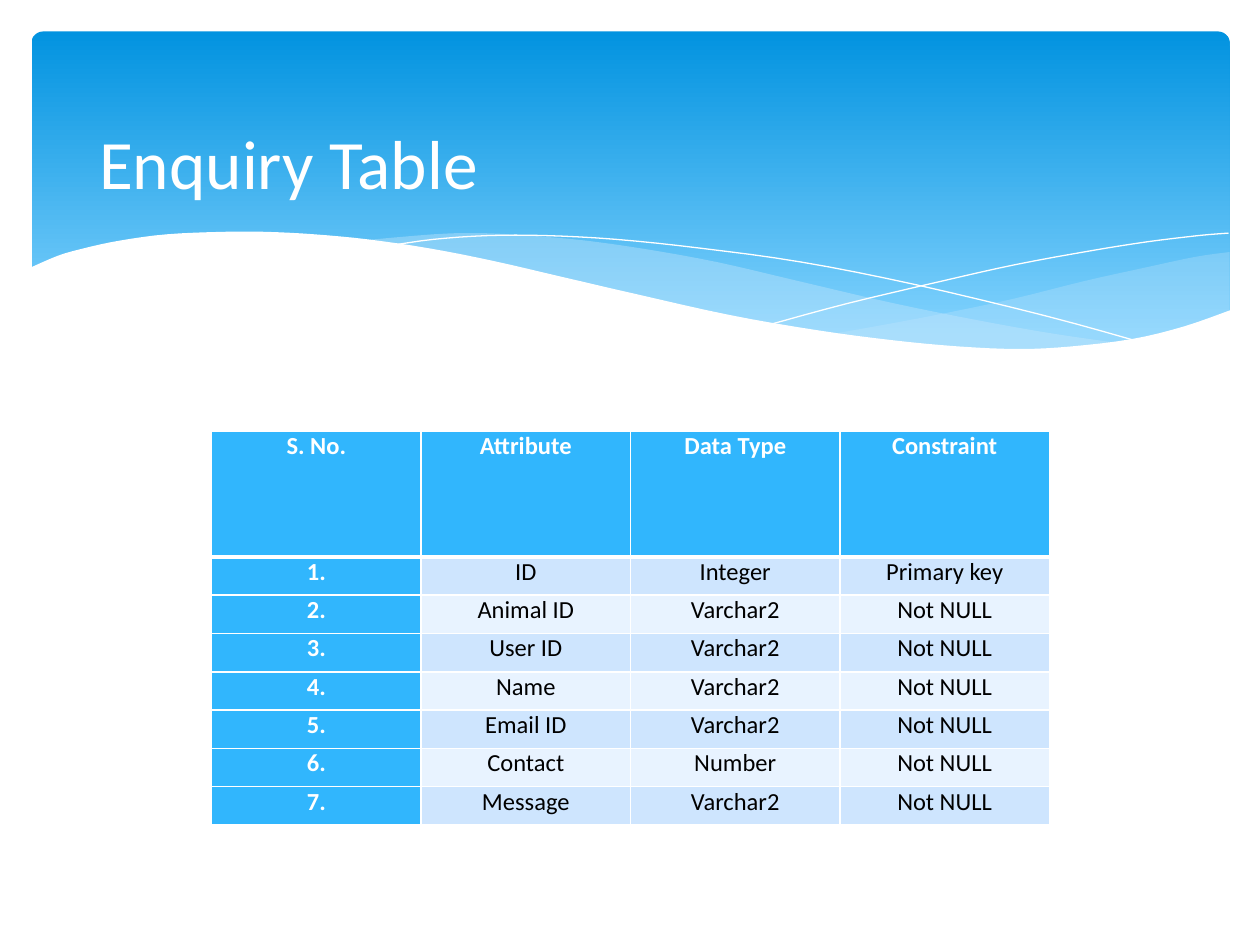
from dataclasses import dataclass

from lxml.etree import SubElement
from pptx import Presentation
from pptx.dml.color import RGBColor
from pptx.enum.shapes import MSO_SHAPE
from pptx.enum.text import MSO_ANCHOR, PP_ALIGN
from pptx.oxml.ns import qn
from pptx.util import Inches, Pt


@dataclass(frozen=True)
class Theme:
    font: str = "Calibri"
    title_size: float = 39.6
    table_size: float = 14
    white: str = "FFFFFF"
    black: str = "000000"
    banner_top: str = "0293E0"
    banner_bottom: str = "83D3FE"
    wave: str = "C6E7FC"
    accent: str = "31B6FD"
    odd_band: str = "CEE5FE"
    even_band: str = "E8F3FF"


THEME = Theme()

# Wave edges: key points in inches, joined by smooth curves
RIGHT_WAVE_TOP = [(9.76, 2), (9.48, 2.04), (9.06, 2.13), (8.61, 2.23),
                  (8.05, 2.37), (7.53, 2.48), (7.06, 2.57), (6.61, 2.65)]
RIGHT_WAVE_BOTTOM = [(6.61, 2.65), (7.05, 2.71), (7.45, 2.75), (8.03, 2.78),
                     (8.54, 2.76), (8.97, 2.7), (9.35, 2.62), (9.76, 2.47)]
MIDDLE_WAVE_TOP = [(8.93, 2.73), (8.37, 2.65), (7.75, 2.54), (7.06, 2.4),
                   (6.29, 2.22), (5.69, 2.08), (5.14, 1.98), (4.65, 1.91),
                   (4.2, 1.87), (3.8, 1.85), (3.44, 1.86), (2.86, 1.91)]
MIDDLE_WAVE_BOTTOM = [(2.86, 1.91), (3.42, 1.99), (4.04, 2.11), (4.49, 2.22),
                      (5.3, 2.4), (6.01, 2.55), (6.65, 2.66), (7.22, 2.74),
                      (7.73, 2.77), (8.18, 2.78), (8.57, 2.77), (8.93, 2.73)]
FALLING_LINE = [(3.09, 1.95), (3.44, 1.9), (3.87, 1.87), (4.33, 1.87),
                (4.89, 1.9), (5.56, 1.97), (6.36, 2.08), (7.27, 2.26),
                (8.31, 2.51), (9.07, 2.72)]
RISING_LINE = [(6.13, 2.57), (6.72, 2.41), (7.48, 2.23), (8.06, 2.1),
               (8.66, 1.99), (9.1, 1.92), (9.51, 1.87), (9.75, 1.85)]
PAGE_EDGE = [(9.77, 2.46), (9.4, 2.59), (8.99, 2.69), (8.5, 2.75),
             (8.09, 2.77), (7.61, 2.75), (7.08, 2.7), (6.48, 2.62),
             (5.79, 2.5), (5.03, 2.33), (4.47, 2.2), (3.91, 2.07),
             (3.4, 1.97), (2.92, 1.9), (2.5, 1.86), (2.11, 1.84),
             (1.77, 1.84), (1.32, 1.86), (0.95, 1.91), (0.67, 1.97),
             (0.46, 2.03), (0.23, 2.13)]

HEADERS = ["S. No.", "Attribute", "Data Type", "Constraint"]
FIELDS = [
    ("ID", "Integer", "Primary key"),
    ("Animal ID", "Varchar2", "Not NULL"),
    ("User ID", "Varchar2", "Not NULL"),
    ("Name", "Varchar2", "Not NULL"),
    ("Email ID", "Varchar2", "Not NULL"),
    ("Contact", "Number", "Not NULL"),
    ("Message", "Varchar2", "Not NULL"),
]


def rgb(color):
    return RGBColor.from_string(color)


def smooth_curve(points, steps=4):
    """Catmull-Rom curve through the points."""
    padded = [points[0], *points, points[-1]]
    curve = [points[0]]
    for a, b, c, d in zip(padded, padded[1:], padded[2:], padded[3:]):
        for step in range(1, steps + 1):
            t = step / steps
            curve.append(tuple(
                (2 * q + (r - p) * t + (2 * p - 5 * q + 4 * r - s) * t ** 2
                 + (3 * q - p - 3 * r + s) * t ** 3) / 2
                for p, q, r, s in zip(a, b, c, d)))
    return curve


def add_outline(slide, points, closed):
    (start, *rest) = [(Inches(x), Inches(y)) for x, y in points]
    builder = slide.shapes.build_freeform(*start)
    builder.add_line_segments(rest, close=closed)
    outline = builder.convert_to_shape()
    outline.shadow.inherit = False
    return outline


def add_wave(slide, points, color, opacity=100):
    wave = add_outline(slide, points, closed=True)
    wave.fill.solid()
    wave.fill.fore_color.rgb = rgb(color)
    wave.line.fill.background()
    if opacity < 100:
        fill_color = wave.fill._xPr.find(qn("a:solidFill"))[0]
        SubElement(fill_color, qn("a:alpha"), val=str(opacity * 1000))


def add_hairline(slide, points):
    hairline = add_outline(slide, smooth_curve(points), closed=False)
    hairline.fill.background()
    hairline.line.color.rgb = rgb(THEME.white)
    hairline.line.width = Pt(0)


def add_banner(slide):
    banner = slide.shapes.add_shape(
        MSO_SHAPE.ROUNDED_RECTANGLE,
        Inches(0.25), Inches(0.25), Inches(9.51), Inches(2.7))
    banner.adjustments[0] = 0.034
    banner.shadow.inherit = False
    banner.line.fill.background()
    banner.fill.gradient()
    banner.fill.gradient_angle = 270
    stops = [(0, THEME.banner_top), (0.9, THEME.banner_bottom)]
    for stop, (position, color) in zip(banner.fill.gradient_stops, stops):
        stop.position = position
        stop.color.rgb = rgb(color)


def add_run(paragraph, text, size, color, bold=False):
    paragraph.alignment = PP_ALIGN.CENTER
    run = paragraph.add_run()
    run.text = text
    run.font.name = THEME.font
    run.font.size = Pt(size)
    run.font.bold = bold
    run.font.color.rgb = rgb(color)


def add_title(slide, text):
    title = slide.shapes.add_textbox(
        Inches(0.5), Inches(0.83), Inches(3.58), Inches(0.91))
    title.text_frame.word_wrap = True
    title.text_frame.vertical_anchor = MSO_ANCHOR.MIDDLE
    add_run(title.text_frame.paragraphs[0], text,
            THEME.title_size, THEME.white)


def set_borders(cell, top, bottom):
    properties = cell._tc.get_or_add_tcPr()
    for side, width in (("L", 1), ("R", 1), ("T", top), ("B", bottom)):
        border = SubElement(properties, qn(f"a:ln{side}"), w=str(Pt(width)))
        fill = SubElement(border, qn("a:solidFill"))
        SubElement(fill, qn("a:srgbClr"), val=THEME.white)


def fill_cell(cell, text, row, column):
    is_heading = row == 0 or column == 0
    band = THEME.odd_band if row % 2 else THEME.even_band
    cell.margin_left = cell.margin_right = Inches(0.07)
    cell.margin_top = cell.margin_bottom = 0
    set_borders(cell, top=3 if row == 1 else 1, bottom=3 if row == 0 else 1)
    cell.fill.solid()
    cell.fill.fore_color.rgb = rgb(THEME.accent if is_heading else band)
    add_run(cell.text_frame.paragraphs[0], text, THEME.table_size,
            THEME.white if is_heading else THEME.black, is_heading)


def add_field_table(slide):
    rows = [HEADERS] + [(f"{number}.", *field)
                        for number, field in enumerate(FIELDS, 1)]
    width, height, header_height = 6.65, 3.13, 1
    table = slide.shapes.add_table(
        len(rows), len(HEADERS), Inches(1.68), Inches(3.42),
        Inches(width), Inches(height)).table
    table.horz_banding = False
    for column in table.columns:
        column.width = Inches(width / len(HEADERS))
    for row, values in enumerate(rows):
        table.rows[row].height = Inches(
            (height - header_height) / len(FIELDS) if row else header_height)
        for column, text in enumerate(values):
            fill_cell(table.cell(row, column), text, row, column)


def main():
    presentation = Presentation()
    presentation.slide_width = Inches(10)
    presentation.slide_height = Inches(7.5)
    slide = presentation.slides.add_slide(presentation.slide_layouts[6])

    # Banner with overlapping waves
    add_banner(slide)
    add_wave(slide, smooth_curve(RIGHT_WAVE_TOP)
             + smooth_curve(RIGHT_WAVE_BOTTOM), THEME.wave, 29)
    add_wave(slide, smooth_curve(MIDDLE_WAVE_TOP)
             + smooth_curve(MIDDLE_WAVE_BOTTOM), THEME.wave, 40)
    add_hairline(slide, FALLING_LINE)
    add_hairline(slide, RISING_LINE)
    add_wave(slide, smooth_curve(PAGE_EDGE)
             + [(0.23, 3.29), (9.77, 3.29)], THEME.white)

    # Content
    add_field_table(slide)
    add_title(slide, "Enquiry Table")
    presentation.save("out.pptx")


if __name__ == "__main__":
    main()
